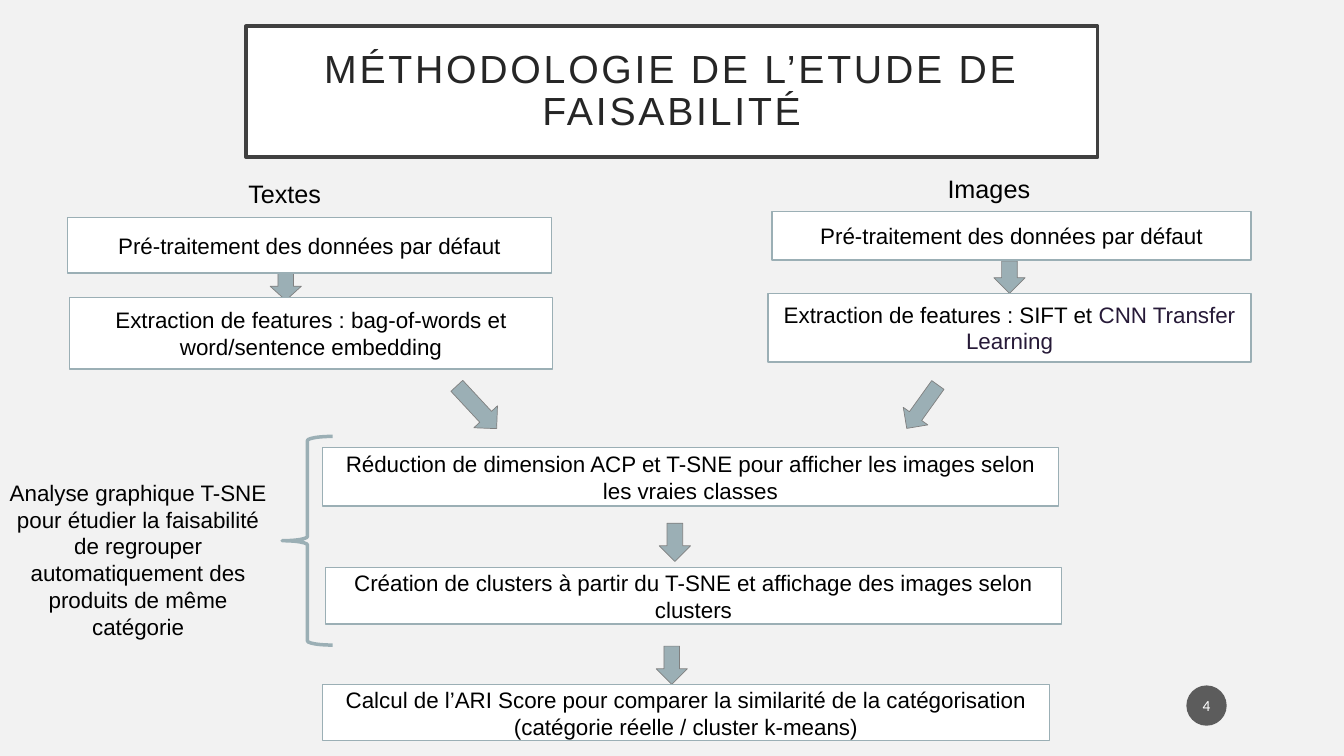
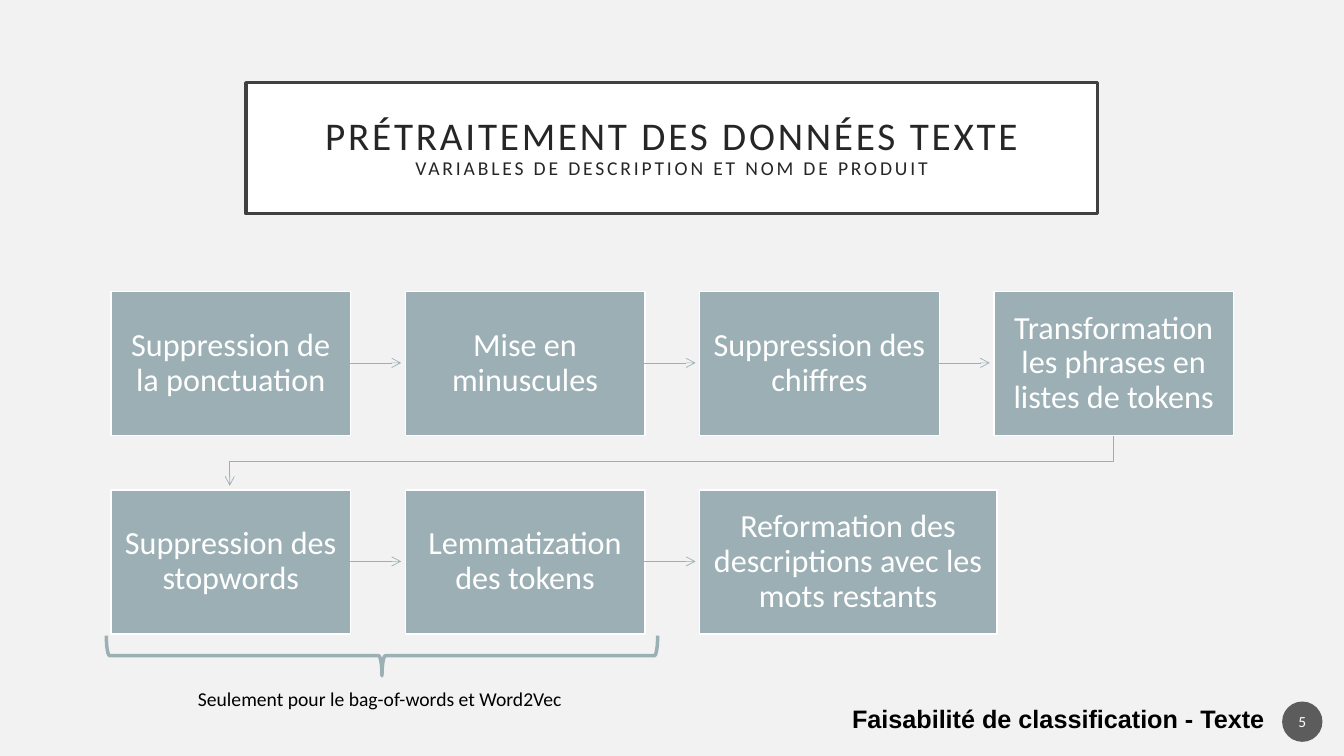
from lxml import etree
from pptx import Presentation
from pptx.dml.color import RGBColor
from pptx.enum.shapes import MSO_CONNECTOR, MSO_SHAPE
from pptx.enum.text import MSO_ANCHOR, MSO_AUTO_SIZE, PP_ALIGN
from pptx.oxml.ns import qn
from pptx.util import Pt

PX = 9144
PALE = RGBColor(0xF2, 0xF2, 0xF2)
WHITE = RGBColor(0xFF, 0xFF, 0xFF)
BLACK = RGBColor(0x00, 0x00, 0x00)
INK = RGBColor(0x26, 0x26, 0x26)
FRAME = RGBColor(0x40, 0x40, 0x40)
BADGE = RGBColor(0x1D, 0x1D, 0x1D)
STEEL = RGBColor(0x9B, 0xAF, 0xB5)
GREY = RGBColor(0x80, 0x80, 0x80)
PLUM = RGBColor(0x27, 0x1A, 0x38)
RECT = MSO_SHAPE.RECTANGLE
OVAL = MSO_SHAPE.OVAL
DOWN = MSO_SHAPE.DOWN_ARROW
BRACE = MSO_SHAPE.LEFT_BRACE
STRAIGHT = MSO_CONNECTOR.STRAIGHT
MIDDLE = MSO_ANCHOR.MIDDLE
CENTER = PP_ALIGN.CENTER
FIXED = MSO_AUTO_SIZE.NONE


def write(shape, text, size=16, font="Arial", color=BLACK, bold=False,
          pad=10, lead=1.0, track=0, fresh=False):
    frame = shape.text_frame
    frame.word_wrap = True
    frame.auto_size = FIXED
    frame.vertical_anchor = MIDDLE
    frame.margin_left = frame.margin_right = pad * PX
    frame.margin_top = frame.margin_bottom = 5 * PX
    para = frame.add_paragraph() if fresh else frame.paragraphs[0]
    para.alignment = CENTER
    para.line_spacing = lead
    run = para.add_run()
    run.text = text
    run.font.size = Pt(size)
    run.font.name = font
    run.font.bold = bold
    run.font.color.rgb = color
    if track:
        run.font._element.set("spc", str(track * 100))


def draw(slide, kind, area, fill=None, edge=None, thick=1, turn=0):
    shape = slide.shapes.add_shape(kind, *[n * PX for n in area])
    shape.shadow.inherit = False
    shape.rotation = turn
    if fill is None:
        shape.fill.background()
    else:
        shape.fill.solid()
        shape.fill.fore_color.rgb = fill
    if edge is None:
        shape.line.fill.background()
    else:
        shape.line.color.rgb = edge
        shape.line.width = Pt(thick)
    return shape


deck = Presentation()
deck.slide_width = 12192000
deck.slide_height = 6858000
back = deck.slide_master.background.fill
back.solid()
back.fore_color.rgb = PALE

heads = [
    ("MÉTHODOLOGIE DE L’ETUDE DE FAISABILITÉ", "", "Arial", 26, "4", 1177, 680),
    ("PRÉTRAITEMENT DES DONNÉES TEXTE", "VARIABLES DE DESCRIPTION ET NOM DE PRODUIT",
     "Calibri", 82, "5", 1272, 696),
]
for head, sub, font, top, page, x, y in heads:
    slide = deck.slides.add_slide(deck.slide_layouts[5])
    title = slide.shapes.title
    title.left, title.top, title.width, title.height = [
        n * PX for n in (244, top, 845, 130)]
    title.fill.solid()
    title.fill.fore_color.rgb = WHITE
    title.line.color.rgb = FRAME
    title.line.width = Pt(2.5)
    look = dict(font=font, color=INK, pad=20, lead=0.9, track=2)
    write(title, head, size=28, **look)
    if sub:
        write(title, sub, size=14, fresh=True, **look)
    badge = draw(slide, OVAL, (x, y, 40, 40), fill=BADGE)
    tone = badge._element.spPr.find(qn("a:solidFill"))[0]
    etree.SubElement(tone, qn("a:alpha"), val="70000")
    write(badge, page, size=11, font="Calibri", color=WHITE, pad=2)

method, prep = deck.slides

arrows = [
    (268, 270, 31, 28, 0),
    (986, 259, 31, 32, 0),
    (457, 375, 32, 58, 317.1),
    (900, 377, 30, 53, 35.6),
    (654, 519, 31, 38, 0),
    (651, 641, 31, 38, 0),
]
for *area, turn in arrows:
    draw(method, DOWN, area, fill=STEEL, edge=GREY, thick=0.5, turn=turn)

boxes = [
    (67, 216, 480, 55, "Pré-traitement des données par défaut"),
    (69, 295, 479, 71, "Extraction de features : bag-of-words et word/sentence embedding"),
    (766, 210, 475, 48, "Pré-traitement des données par défaut"),
    (320, 444, 730, 58, "Réduction de dimension ACP et T-SNE pour afficher les images selon les vraies classes"),
    (323, 563, 730, 56, "Création de clusters à partir du T-SNE et affichage des images selon clusters"),
    (320, 679, 721, 56, "Calcul de l’ARI Score pour comparer la similarité de la catégorisation (catégorie réelle / cluster k-means)"),
    (762, 291, 479, 68, "Extraction de features : SIFT et "),
]
for *area, text in boxes:
    box = draw(method, RECT, area, fill=WHITE, edge=STEEL)
    write(box, text)
write(box, "CNN Transfer Learning", color=PLUM)

draw(method, BRACE, (280, 433, 50, 207), edge=STEEL, thick=2.5)
draw(prep, BRACE, (359, 377, 40, 547), edge=STEEL, thick=2.5, turn=270)

rows = [
    ["Suppression de la ponctuation", "Mise en minuscules", "Suppression des chiffres",
     "Transformation les phrases en listes de tokens"],
    ["Suppression des stopwords", "Lemmatization des tokens",
     "Reformation des descriptions avec les mots restants"],
]
pen = prep.shapes.build_freeform(1105, 431, scale=PX)
pen.add_line_segments([(1105, 458), (228, 458), (228, 482)], close=False)
bend = pen.convert_to_shape()
bend.fill.background()
links = [bend]
for r, row in enumerate(rows):
    y = 289 + 197 * r
    for c, text in enumerate(row):
        x = 110 + 292 * c
        wide = 295 if (r, c) == (1, 2) else 238
        step = draw(prep, RECT, (x, y, wide, 143), fill=STEEL, edge=WHITE)
        write(step, text, size=23, font="Calibri", color=WHITE, pad=12, lead=0.9)
        if c:
            ends = (x - 55, y + 71, x - 4, y + 71)
            links.append(prep.shapes.add_connector(STRAIGHT, *[n * PX for n in ends]))
for link in links:
    link.line.color.rgb = STEEL
    link.line.width = Pt(0.5)
    props = link._element.spPr
    etree.SubElement(props.find(qn("a:ln")), qn("a:tailEnd"), type="arrow")
    etree.SubElement(props, qn("a:effectLst"))

labels = [
    (method, (236, 171, 93, 41), "Textes", dict(size=18)),
    (method, (929, 167, 104, 40), "Images", dict(size=18)),
    (method, (5, 469, 264, 172), "Analyse graphique T-SNE pour étudier la faisabilité de regrouper "
     "automatiquement des produits de même catégorie", dict(size=16)),
    (prep, (835, 693, 430, 40), "Faisabilité de classification - Texte", dict(size=18, bold=True)),
    (prep, (185, 676, 384, 34), "Seulement pour le bag-of-words et Word2Vec", dict(size=14, font="Calibri")),
]
for slide, area, text, look in labels:
    label = slide.shapes.add_textbox(*[n * PX for n in area])
    write(label, text, pad=0, **look)

deck.save("out.pptx")
